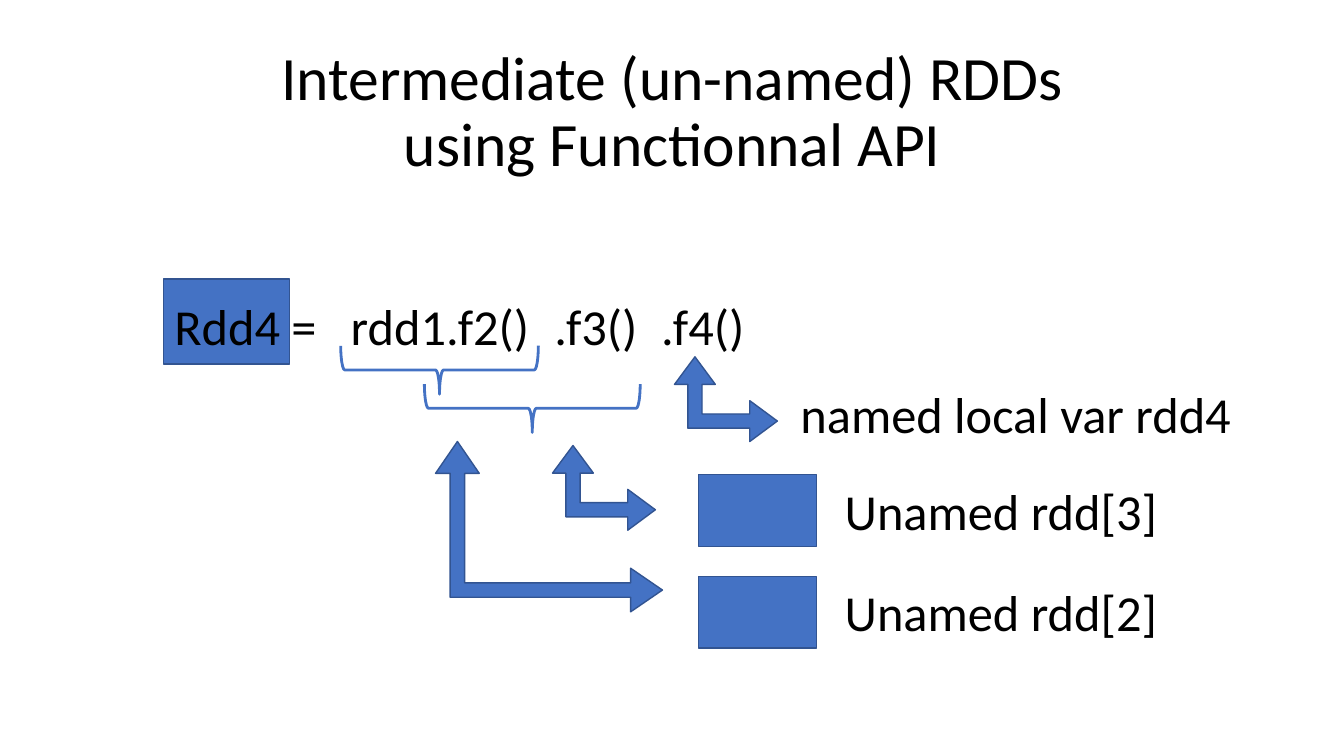
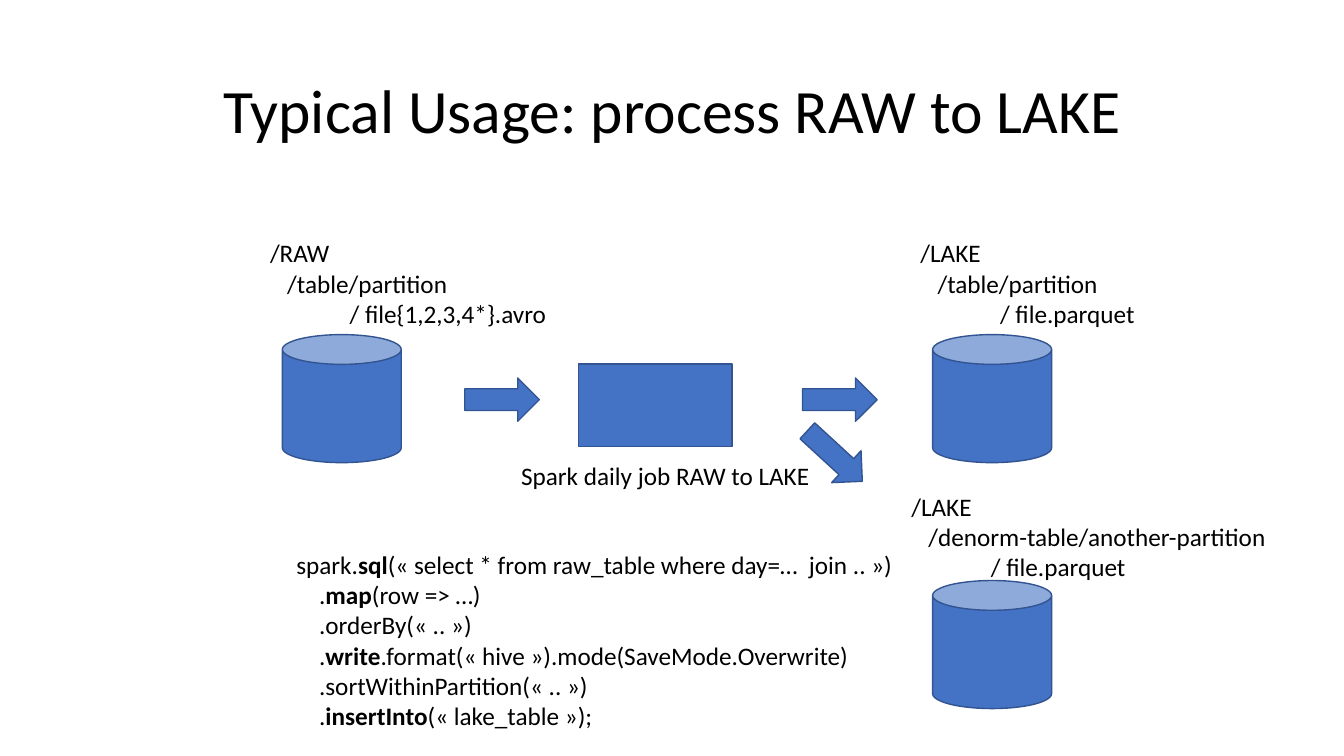
from dataclasses import dataclass
from typing import Optional, Sequence

import pptx
import pptx.dml.color
import pptx.enum.shapes
import pptx.enum.text
import pptx.oxml
import pptx.oxml.ns
import pptx.presentation
import pptx.slide
import pptx.text.text
import pptx.util

Inches = pptx.util.Inches
Pt = pptx.util.Pt
RGB = pptx.dml.color.RGBColor
SHAPE = pptx.enum.shapes.MSO_SHAPE
AUTO = pptx.enum.text.MSO_AUTO_SIZE


@dataclass(frozen=True)
class Theme:
    font: str = "Calibri"
    text: RGB = RGB(0x00, 0x00, 0x00)
    fill: RGB = RGB(0x44, 0x72, 0xC4)
    outline: RGB = RGB(0x32, 0x54, 0x91)
    title_size: int = 44
    large_size: int = 36
    small_size: int = 18


THEME = Theme()


@dataclass(frozen=True)
class Box:
    left: float
    top: float
    width: float
    height: float

    def lengths(self) -> tuple:
        return tuple(Inches(v) for v in (self.left, self.top, self.width, self.height))

    def turned(self) -> "Box":
        """Swap width and height around the same centre."""
        shift = (self.width - self.height) / 2
        return Box(self.left + shift, self.top - shift, self.height, self.width)


@dataclass(frozen=True)
class Store:
    """A storage cylinder with its directory listing above."""
    can_left: float
    can_top: float
    label: Box
    levels: Sequence[str]


def style_paragraph(p: pptx.text.text._Paragraph, size: int) -> None:
    for r in p.runs:
        r.font.name = THEME.font
        r.font.size = Pt(size)
        r.font.color.rgb = THEME.text


def add_title_slide(prs: pptx.presentation.Presentation, title: str) -> pptx.slide.Slide:
    s = prs.slides.add_slide(prs.slide_layouts.get_by_name("Title Only"))
    sp = s.shapes.title
    sp.left, sp.top, sp.width, sp.height = Box(0.92, 0.4, 11.5, 1.45).lengths()
    tf = sp.text_frame
    tf.auto_size = AUTO.NONE
    tf.vertical_anchor = pptx.enum.text.MSO_ANCHOR.MIDDLE
    p = tf.paragraphs[0]
    p.text = title
    p.alignment = pptx.enum.text.PP_ALIGN.CENTER
    p.line_spacing = 0.9
    style_paragraph(p, THEME.title_size)
    return s


def add_shape(s: pptx.slide.Slide, kind: SHAPE, box: Box, rotation: float = 0,
              adjustments: Sequence[float] = ()) -> None:
    sp = s.shapes.add_shape(kind, *box.lengths())
    sp.shadow.inherit = False
    sp.rotation = rotation
    for i, value in enumerate(adjustments):
        sp.adjustments[i] = value
    if kind == SHAPE.LEFT_BRACE:
        sp.fill.background()
        sp.line.color.rgb = THEME.fill
        sp.line.width = Pt(2)
    else:
        sp.fill.solid()
        sp.fill.fore_color.rgb = THEME.fill
        sp.line.color.rgb = THEME.outline
        sp.line.width = Pt(1)


def add_text(s: pptx.slide.Slide, box: Box, lines: Sequence[str], size: int,
             indents: Optional[Sequence[float]] = None, tabs: Sequence[float] = (),
             wrap: bool = False) -> None:
    """Add one paragraph per line; words between double asterisks are bold."""
    tf = s.shapes.add_textbox(*box.lengths()).text_frame
    tf.word_wrap = wrap
    tf.auto_size = AUTO.SHAPE_TO_FIT_TEXT
    for i, line in enumerate(lines):
        p = tf.paragraphs[0] if i == 0 else tf.add_paragraph()
        pPr = p._p.get_or_add_pPr()
        if indents:
            pPr.set("marL", str(Inches(indents[i])))
        if tabs:
            tab_list = pptx.oxml.parse_xml(f"<a:tabLst {pptx.oxml.ns.nsdecls('a')}/>")
            for stop in tabs:
                tab = tab_list.makeelement(pptx.oxml.ns.qn("a:tab"),
                                           {"pos": str(Inches(stop)), "algn": "l"})
                tab_list.append(tab)
            pPr.append(tab_list)
        for j, piece in enumerate(line.split("**")):
            r = p.add_run()
            r.text = piece
            r.font.bold = j % 2 == 1
        style_paragraph(p, size)


def add_corner_arrow(s: pptx.slide.Slide, box: Box, adjustments: Sequence[float]) -> None:
    """Add an arrow pointing up and right from its lower left corner."""
    add_shape(s, SHAPE.LEFT_UP_ARROW, box.turned(), 90, adjustments)


def add_store(s: pptx.slide.Slide, store: Store) -> None:
    add_shape(s, SHAPE.CAN, Box(store.can_left, store.can_top, 1.18, 1.27))
    add_text(s, store.label, store.levels, THEME.small_size,
             indents=(0, 0.17, 0.79), wrap=True)


def build_rdd_slide(prs: pptx.presentation.Presentation) -> None:
    s = add_title_slide(prs, "Intermediate (un-named) RDDs\vusing Functionnal API")

    add_shape(s, SHAPE.RECTANGLE, Box(1.62, 2.77, 1.25, 0.84))
    add_text(s, Box(1.63, 2.88, 5.88, 0.71), ["Rdd4 =\trdd1.f2()\t.f3()\t.f4()"],
             THEME.large_size, tabs=(1.75, 3.77, 4.83))

    for brace in (Box(4.12, 2.69, 0.48, 1.96), Box(5.04, 2.98, 0.48, 2.14)):
        add_shape(s, SHAPE.LEFT_BRACE, brace, 270)

    add_corner_arrow(s, Box(4.32, 4.38, 2.25, 1.69), (0.085, 0.128, 0.187))
    for left, top in ((5.48, 4.42), (6.69, 3.54)):
        add_corner_arrow(s, Box(left, top, 1.02, 0.84), (0.168, 0.241, 0.326))

    add_text(s, Box(7.84, 3.75, 4.51, 0.71), ["named local var rdd4"], THEME.large_size)
    for number, top in ((3, 4.71), (2, 5.72)):
        add_shape(s, SHAPE.RECTANGLE, Box(6.93, top, 1.17, 0.71))
        add_text(s, Box(8.28, top, 3.33, 0.71), [f"Unamed rdd[{number}]"],
                 THEME.large_size)


def build_lake_slide(prs: pptx.presentation.Presentation) -> None:
    s = add_title_slide(prs, "Typical Usage: process RAW to LAKE")

    stores = (
        Store(2.8, 3.32, Box(2.58, 2.31, 3.73, 1.01),
              ("/RAW", "/table/partition", "/ file{1,2,3,4*}.avro")),
        Store(9.25, 3.32, Box(9.03, 2.31, 2.81, 1.01),
              ("/LAKE", "/table/partition", "/ file.parquet")),
        Store(9.25, 5.76, Box(8.94, 4.82, 3.97, 1.01),
              ("/LAKE", "/denorm-table/another-partition", "/ file.parquet")),
    )
    for store in stores:
        add_store(s, store)

    add_shape(s, SHAPE.RECTANGLE, Box(5.74, 3.61, 1.52, 0.82))
    add_text(s, Box(5.07, 4.52, 3.09, 0.4), ["Spark daily job RAW to LAKE"],
             THEME.small_size)
    for left, top, rotation in ((4.61, 3.75, 0), (7.96, 3.75, 0), (7.91, 4.31, 42.6)):
        add_shape(s, SHAPE.RIGHT_ARROW, Box(left, top, 0.74, 0.43), rotation)

    code = (
        "spark.**sql**(« select * from raw_table where day=…  join .. »)",
        "    .**map**(row => …)",
        "    .orderBy(« .. »)",
        "    .**write**.format(« hive »).mode(SaveMode.Overwrite)",
        "    .sortWithinPartition(« .. »)",
        "    .**insertInto**(« lake_table »);",
    )
    add_text(s, Box(2.84, 5.4, 6.18, 1.92), code, THEME.small_size)


def main() -> None:
    prs = pptx.Presentation()
    prs.slide_width = Inches(13.33)
    prs.slide_height = Inches(7.5)
    build_rdd_slide(prs)
    build_lake_slide(prs)
    prs.save("out.pptx")


if __name__ == "__main__":
    main()
